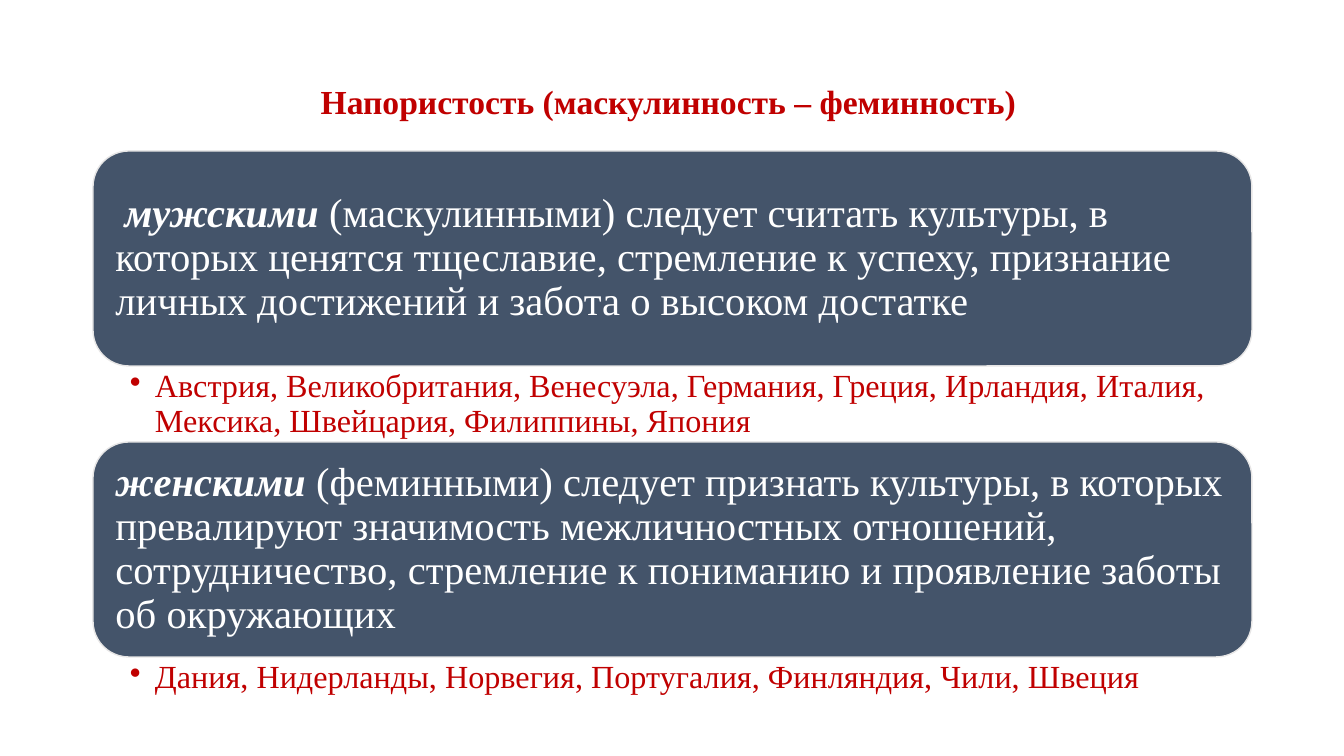
from dataclasses import dataclass

from lxml import etree
from pptx import Presentation
from pptx.dml.color import RGBColor
from pptx.enum.shapes import MSO_SHAPE
from pptx.enum.text import MSO_ANCHOR, PP_ALIGN
from pptx.oxml.ns import qn
from pptx.util import Emu, Pt

ROUNDED = MSO_SHAPE.ROUNDED_RECTANGLE
MIDDLE, TOP = MSO_ANCHOR.MIDDLE, MSO_ANCHOR.TOP
LEFT, CENTER = PP_ALIGN.LEFT, PP_ALIGN.CENTER

COLORS = {"card": "44546A", "outline": "E7E6E6", "accent": "C00000", "light": "FFFFFF"}
FONT = "Times New Roman"
SPACE_FONT = "Calibri"
NBSP = "\u00a0"
EMU_PER_PIXEL = 914400 / 100.8

COLUMN_LEFT, COLUMN_WIDTH = 93, 1159
FIRST_TOP, CARD_HEIGHT = 151, 215
BULLET_INDENT = 25


@dataclass(frozen=True)
class CultureType:
    lead: str
    term: str
    definition: str
    countries: str
    list_height: int


CULTURE_TYPES = [
    CultureType(
        NBSP,
        "мужскими",
        NBSP + "(маскулинными) следует считать культуры, в которых ценятся тщеславие, "
        "стремление к успеху, признание личных достижений и забота о высоком достатке",
        "Австрия, Великобритания, Венесуэла, Германия, Греция, Ирландия, Италия, "
        "Мексика, Швейцария, Филиппины, Япония",
        76,
    ),
    CultureType(
        "",
        "женскими",
        NBSP + "(феминными) следует признать культуры, в которых превалируют значимость "
        "межличностных отношений, сотрудничество, стремление к пониманию и проявление "
        "заботы об окружающих",
        "Дания, Нидерланды, Норвегия, Португалия, Финляндия, Чили, Швеция",
        53,
    ),
]


def px(pixels: float) -> Emu:
    return Emu(round(pixels * EMU_PER_PIXEL))


def color(name: str) -> RGBColor:
    return RGBColor.from_string(COLORS[name])


def set_up_text(shape, insets: tuple[int, int, int, int], anchor, align, size: int, ink: str):
    """Prepare the text frame of a shape and return its paragraph."""
    frame = shape.text_frame
    frame.word_wrap = True
    frame.vertical_anchor = anchor
    frame.margin_left, frame.margin_top, frame.margin_right, frame.margin_bottom = map(px, insets)
    para = frame.paragraphs[0]
    para.alignment = align
    para.line_spacing = 0.9
    para.font.name = FONT
    para.font.size = Pt(size)
    para.font.color.rgb = color(ink)
    return para


def add_bullet(para) -> None:
    properties = para._p.get_or_add_pPr()
    properties.set("marL", str(px(BULLET_INDENT)))
    properties.set("indent", str(-px(BULLET_INDENT)))
    bullet = etree.Element(qn("a:buChar"), char="•")
    properties.find(qn("a:defRPr")).addprevious(bullet)


def add_title(page, text: str) -> None:
    box = page.shapes.add_textbox(px(COLUMN_LEFT), px(40), px(COLUMN_WIDTH), px(127))
    para = set_up_text(box, (10, 5, 10, 5), MIDDLE, CENTER, 24, "accent")
    para.font.bold = True
    para.add_run().text = text


def add_card(page, culture: CultureType, top: int) -> None:
    card = page.shapes.add_shape(
        ROUNDED, px(COLUMN_LEFT), px(top), px(COLUMN_WIDTH), px(CARD_HEIGHT)
    )
    card.shadow.inherit = False
    card.fill.solid()
    card.fill.fore_color.rgb = color("card")
    card.line.color.rgb = color("outline")
    card.line.width = Pt(1)
    para = set_up_text(card, (12, 12, 12, 12), MIDDLE, LEFT, 29, "light")
    if culture.lead:
        span = para.add_run()
        span.text = culture.lead
        span.font.name = SPACE_FONT
    span = para.add_run()
    span.text = culture.term
    span.font.bold = span.font.italic = True
    para.add_run().text = culture.definition


def add_countries(page, culture: CultureType, top: int) -> None:
    box = page.shapes.add_textbox(
        px(COLUMN_LEFT), px(top), px(COLUMN_WIDTH), px(culture.list_height)
    )
    para = set_up_text(box, (37, 4, 23, 4), TOP, LEFT, 23, "accent")
    add_bullet(para)
    para.add_run().text = culture.countries


deck = Presentation()
deck.slide_width, deck.slide_height = px(1344), px(756)
page = deck.slides.add_slide(deck.slide_layouts[6])

add_title(page, "Напористость (маскулинность – феминность)" + NBSP)

# Cards, each followed by its list of countries
top = FIRST_TOP
for culture in CULTURE_TYPES:
    add_card(page, culture, top)
    add_countries(page, culture, top + CARD_HEIGHT)
    top += CARD_HEIGHT + culture.list_height

deck.save("out.pptx")
